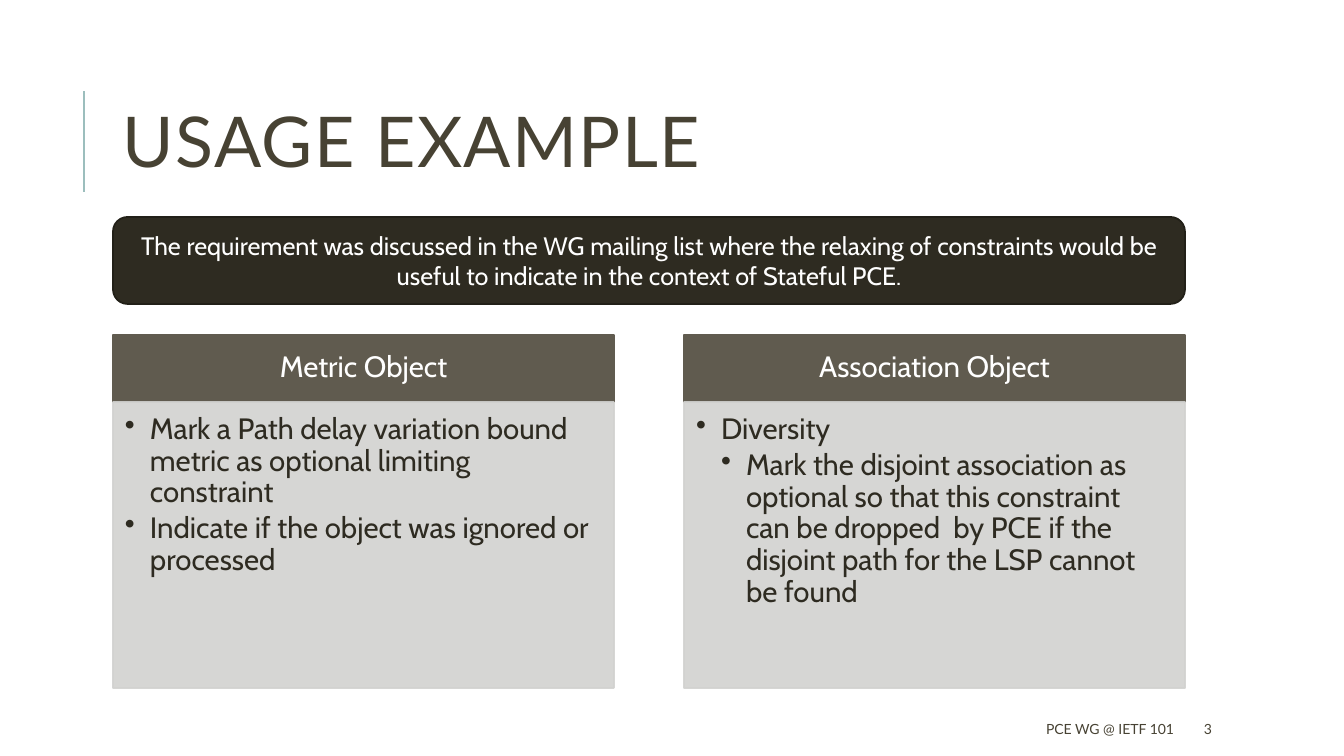
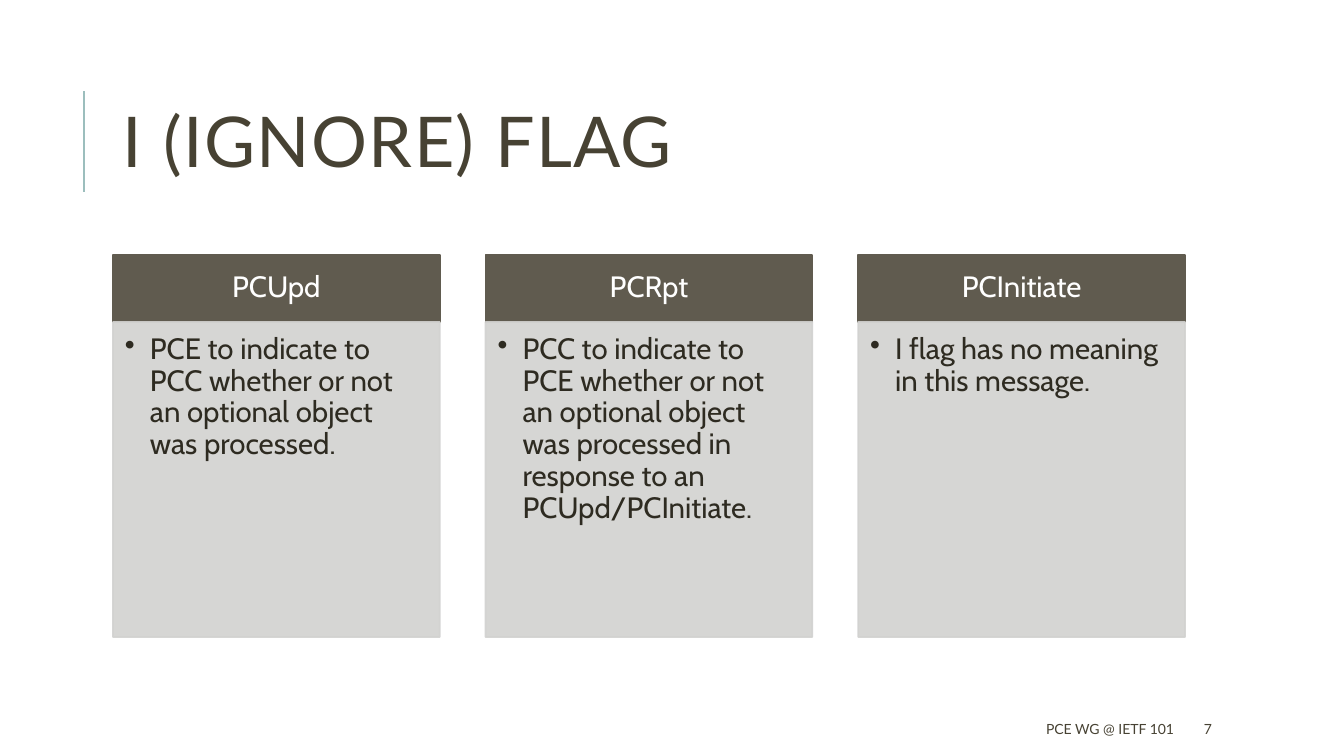
"""Build two slides of titled cards that share one title and footer style."""
from collections import namedtuple

from lxml.etree import SubElement
from pptx import Presentation
from pptx.dml.color import RGBColor
from pptx.enum.shapes import MSO_CONNECTOR, MSO_SHAPE
from pptx.enum.text import MSO_ANCHOR as ANCHOR, PP_ALIGN as ALIGN
from pptx.oxml.ns import qn
from pptx.util import Emu, Pt

WHITE = RGBColor(0xFF, 0xFF, 0xFF)
TITLE_BROWN = RGBColor(0x47, 0x42, 0x33)
DARK_BROWN = RGBColor(0x2E, 0x2B, 0x21)
BANNER_EDGE = RGBColor(0x22, 0x20, 0x18)
HEADER_BROWN = RGBColor(0x60, 0x5B, 0x4F)
CARD_GREY = RGBColor(0xD2, 0xD2, 0xD0)
ACCENT_TEAL = RGBColor(0x9C, 0xBE, 0xBD)

EMU_PER_PIXEL = 914400 / 100.8
HEADER_HEIGHT = 67
GAP_RATIO = 0.14
INDENT = 25
CARD_OPACITY = 90

Box = namedtuple("Box", "left top width height")
Style = namedtuple("Style", "font color paragraph anchor insets")

SLIDE_BOX = Box(0, 0, 1344, 756)
TITLE_BOX = Box(113, 65, 1072, 165)
BANNER_BOX = Box(113, 217, 1072, 87)
FOOTER_BOX = Box(534, 714, 650, 30)
NUMBER_BOX = Box(1194, 714, 107, 30)

PLAIN_INSETS = (10, 5, 10, 5)
CARD_FONT = {"name": "Cabin", "size": Pt(21)}
FOOTER_FONT = {"name": "Lato", "size": Pt(10)}
TITLE = Style({"name": "Lato", "size": Pt(50)}, TITLE_BROWN,
              {"alignment": ALIGN.LEFT, "line_spacing": 0.8}, ANCHOR.MIDDLE, PLAIN_INSETS)
BANNER = Style({"name": "Cabin", "size": Pt(18)}, WHITE,
               {"alignment": ALIGN.CENTER}, ANCHOR.MIDDLE, PLAIN_INSETS)
HEADER = Style(CARD_FONT, WHITE, {"alignment": ALIGN.CENTER, "line_spacing": 0.9},
               ANCHOR.MIDDLE, (16, 9, 16, 9))
BODY = Style(CARD_FONT, DARK_BROWN,
             {"alignment": ALIGN.LEFT, "line_spacing": 0.9, "space_after": Pt(3)},
             ANCHOR.TOP, (12, 12, 16, 18))
FOOTER = Style(FOOTER_FONT, TITLE_BROWN, {"alignment": ALIGN.RIGHT}, ANCHOR.MIDDLE, PLAIN_INSETS)
NUMBER = FOOTER._replace(paragraph={"alignment": ALIGN.LEFT})


def px(length):
    """Turn pixels into EMU."""
    return Emu(round(length * EMU_PER_PIXEL))


def set_values(target, values):
    """Set each named attribute of the target."""
    for name, value in values.items():
        setattr(target, name, value)


def write_text(shape, lines, style):
    """Fill the shape with one styled paragraph per line and return the paragraphs."""
    frame = shape.text_frame
    sides = ("margin_left", "margin_top", "margin_right", "margin_bottom")
    set_values(frame, dict(zip(sides, map(px, style.insets))))
    set_values(frame, {"word_wrap": True, "vertical_anchor": style.anchor})
    frame.text = "\n".join(lines)
    for paragraph in frame.paragraphs:
        set_values(paragraph, style.paragraph)
        font = paragraph.runs[0].font
        set_values(font, style.font)
        font.color.rgb = style.color
    return frame.paragraphs


def add_label(slide, box, text, style):
    """Add a text box with one paragraph and return the paragraph."""
    return write_text(slide.shapes.add_textbox(*map(px, box)), [text], style)[0]


def add_panel(slide, box, fill, edge, kind=MSO_SHAPE.RECTANGLE):
    """Add a filled and outlined shape without a shadow."""
    shape = slide.shapes.add_shape(kind, *map(px, box))
    shape.shadow.inherit = False
    shape.fill.solid()
    shape.fill.fore_color.rgb = fill
    shape.line.color.rgb = edge
    shape.line.width = Pt(1.25)
    return shape


def set_opacity(shape, percent):
    """Make the fill and the outline of the shape partly transparent."""
    for color in shape.element.spPr.iter(qn("a:srgbClr")):
        SubElement(color, qn("a:alpha"), val=str(percent * 1000))


def add_bullet(paragraph, level):
    """Give the paragraph a hanging bullet at the level, counted from one."""
    paragraph.level = level - 1
    properties = paragraph._p.get_or_add_pPr()
    properties.set("marL", str(px(INDENT * level)))
    properties.set("indent", str(px(-INDENT)))
    SubElement(properties, qn("a:buChar"), char="•")


def add_title(slide, box, text):
    """Add the spaced title with the accent line on its left."""
    paragraph = add_label(slide, box, text, TITLE)
    paragraph.runs[0].font._element.set("spc", "100")
    left, top = box.left - 29, box.top + 26
    line = slide.shapes.add_connector(
        MSO_CONNECTOR.STRAIGHT, *map(px, (left, top + 101, left, top)))
    line.line.color.rgb = ACCENT_TEAL
    line.line.width = Pt(1.5)
    SubElement(line.element.spPr, qn("a:effectLst"))


def add_card(slide, box, heading, bullets):
    """Add a header bar over a grey panel of (level, text) bullets."""
    header = add_panel(slide, box._replace(height=HEADER_HEIGHT), HEADER_BROWN, HEADER_BROWN)
    write_text(header, [heading], HEADER)
    body_box = box._replace(top=box.top + HEADER_HEIGHT, height=box.height - HEADER_HEIGHT)
    body = add_panel(slide, body_box, CARD_GREY, CARD_GREY)
    set_opacity(body, CARD_OPACITY)
    paragraphs = write_text(body, [text for _, text in bullets], BODY)
    for paragraph, (level, _) in zip(paragraphs, bullets):
        add_bullet(paragraph, level)


def add_cards(slide, box, cards):
    """Spread cards of equal width over the box."""
    width = box.width / (len(cards) + GAP_RATIO * (len(cards) - 1))
    for index, (heading, bullets) in enumerate(cards):
        left = box.left + index * width * (1 + GAP_RATIO)
        add_card(slide, box._replace(left=left, width=width), heading, bullets)


def add_banner(slide, box, text):
    """Add the dark rounded statement bar."""
    banner = add_panel(slide, box, DARK_BROWN, BANNER_EDGE, MSO_SHAPE.ROUNDED_RECTANGLE)
    write_text(banner, [text], BANNER)


def add_card_slide(presentation, title, number, cards_box, cards):
    """Add a slide with title, cards, footer and page number."""
    slide = presentation.slides.add_slide(presentation.slide_layouts[6])
    add_title(slide, TITLE_BOX, title)
    add_cards(slide, cards_box, cards)
    add_label(slide, FOOTER_BOX, "PCE WG @ IETF 101", FOOTER)
    add_label(slide, NUMBER_BOX, str(number), NUMBER)
    return slide


USAGE_CARDS = [
    ("Metric Object", [
        (1, "Mark a Path delay variation bound metric as optional limiting constraint"),
        (1, "Indicate if the object was ignored or processed"),
    ]),
    ("Association Object", [
        (1, "Diversity"),
        (2, "Mark the disjoint association as optional so that this constraint can be "
            "dropped  by PCE if the disjoint path for the LSP cannot be found"),
    ]),
]
FLAG_CARDS = [
    ("PCUpd", [(1, "PCE to indicate to PCC whether or not an optional object was processed.")]),
    ("PCRpt", [(1, "PCC to indicate to PCE whether or not an optional object was processed "
                   "in response to an PCUpd/PCInitiate.")]),
    ("PCInitiate", [(1, "I flag has no meaning in this message.")]),
]

presentation = Presentation()
presentation.slide_width = px(SLIDE_BOX.width)
presentation.slide_height = px(SLIDE_BOX.height)
usage_slide = add_card_slide(
    presentation, "USAGE EXAMPLE", 3, Box(113, 335, 1072, 353), USAGE_CARDS)
add_banner(usage_slide, BANNER_BOX,
           "The requirement was discussed in the WG mailing list where the relaxing of "
           "constraints would be useful to indicate in the context of Stateful PCE.")
add_card_slide(presentation, "I (IGNORE) FLAG", 7, Box(113, 255, 1072, 382), FLAG_CARDS)
presentation.save("out.pptx")
